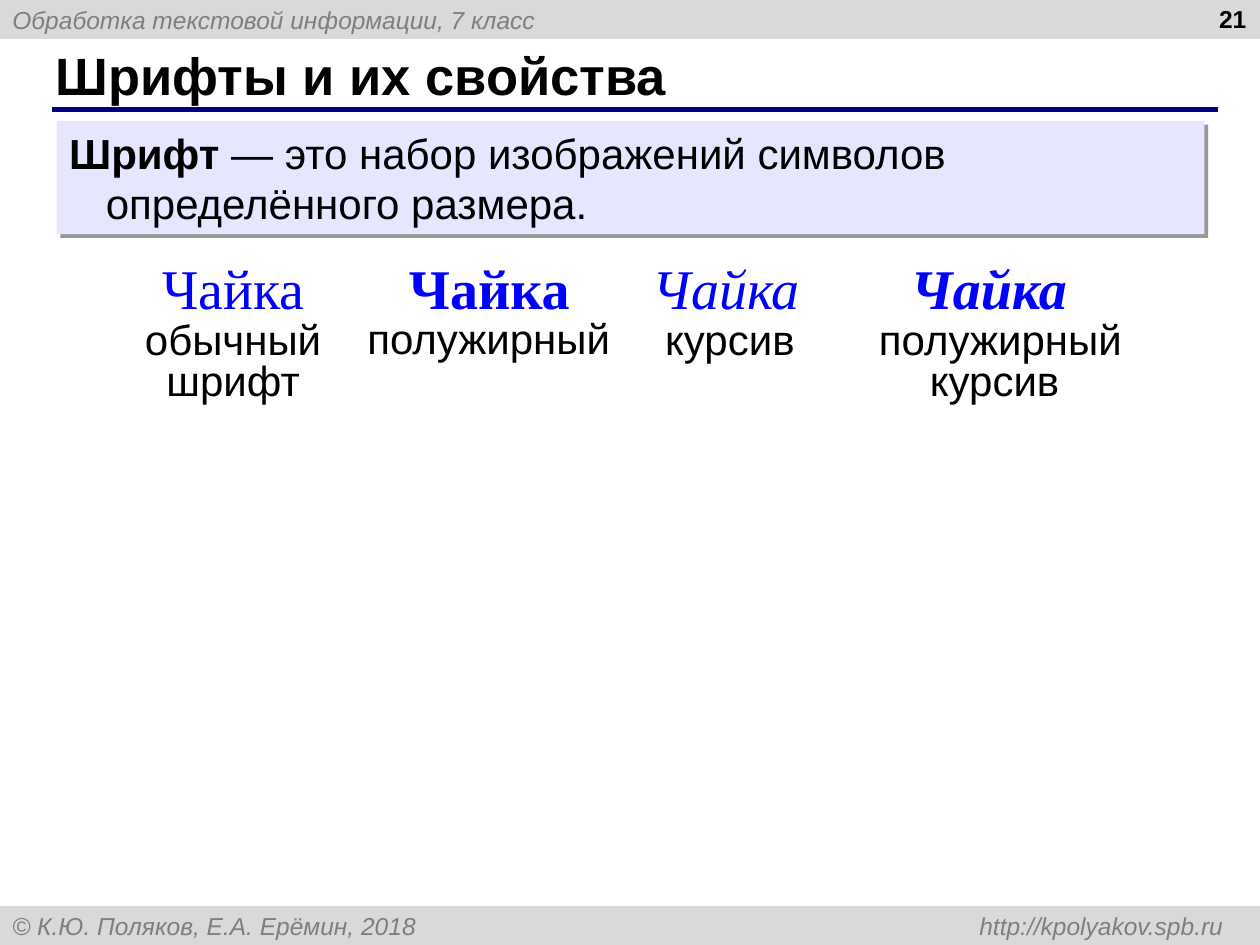
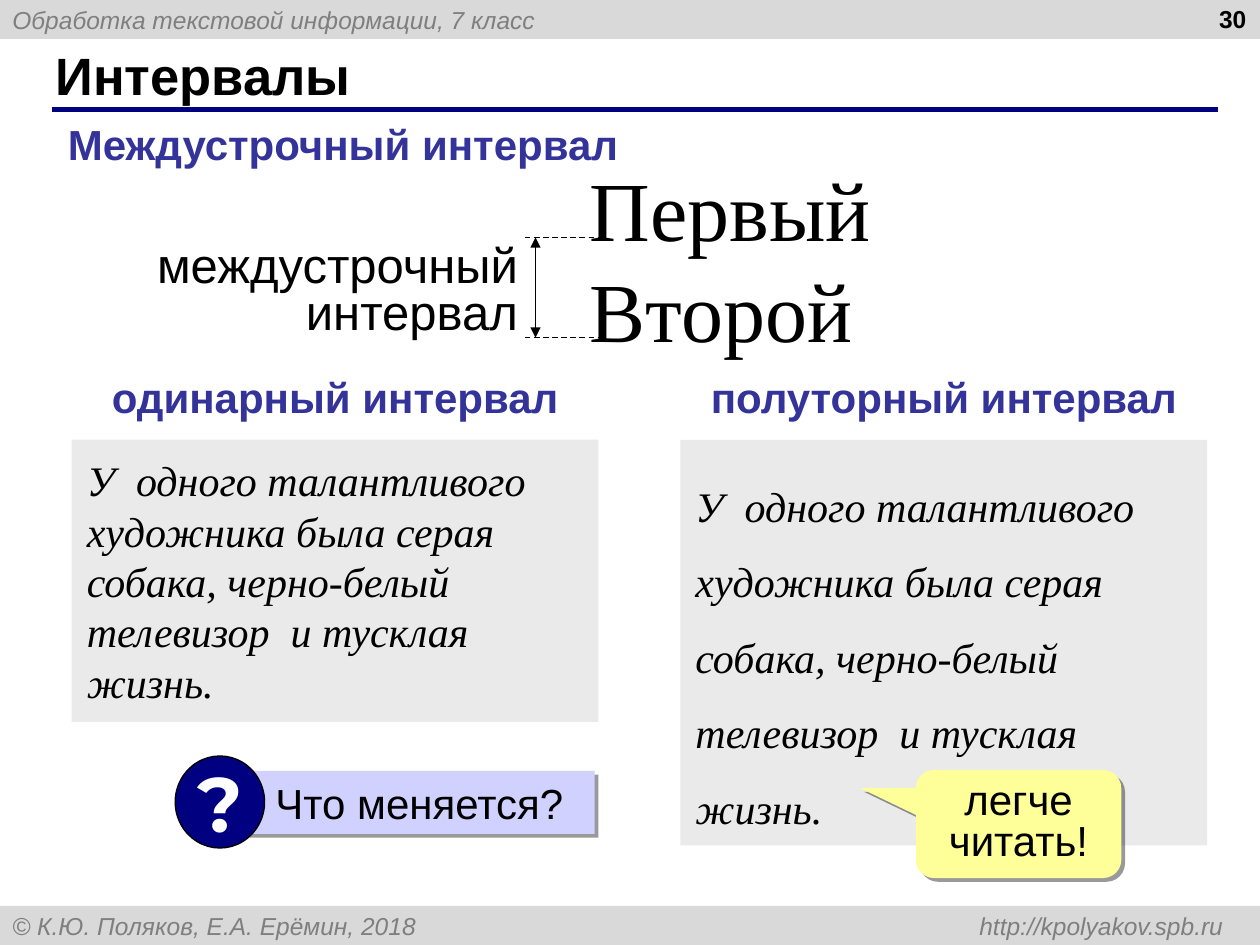
from lxml import etree
from pptx import Presentation
from pptx.dml.color import RGBColor
from pptx.enum import dml, shapes, text
from pptx.oxml import ns
from pptx.util import Pt

BLACK = RGBColor(0x00, 0x00, 0x00)
WHITE = RGBColor(0xFF, 0xFF, 0xFF)
NAVY = RGBColor(0x00, 0x00, 0x80)
BLUE = RGBColor(0x00, 0x00, 0xFF)
HEADING = RGBColor(0x33, 0x33, 0x99)
BAND = RGBColor(0xD9, 0xD9, 0xD9)
BAND_TEXT = RGBColor(0x7F, 0x7F, 0x7F)
LAVENDER = RGBColor(0xE6, 0xE6, 0xFF)
LILAC = RGBColor(0xD1, 0xD1, 0xFF)
PAPER = RGBColor(0xEA, 0xEA, 0xEA)
YELLOW = RGBColor(0xFF, 0xFF, 0x99)
SERIF = "Times New Roman"

RECT = shapes.MSO_SHAPE.RECTANGLE
MIDDLE = text.MSO_ANCHOR.MIDDLE
CENTER, RIGHT = text.PP_ALIGN.CENTER, text.PP_ALIGN.RIGHT
STANDARD = (7.2, 3.6, 7.2, 3.6)
NONE = (0, 0, 0, 0)


def put(slide, box, words, size, color=BLACK, font="Arial", bold=False, italic=False,
        kind=RECT, fill=None, shadow=False, align=None, anchor=text.MSO_ANCHOR.TOP,
        insets=STANDARD, spacing=None):
    """Add a filled shape, or a plain text box when there is no fill, with styled text."""
    place = [Pt(v) for v in box]
    if fill is None:
        item = slide.shapes.add_textbox(*place)
    else:
        item = slide.shapes.add_shape(kind, *place)
        item.fill.solid()
        item.fill.fore_color.rgb = fill
        item.line.fill.background()
        item.shadow.inherit = False
    if shadow:
        effects = item._element.spPr.find(ns.qn("a:effectLst"))
        outer = etree.SubElement(effects, ns.qn("a:outerShdw"), blurRad="0",
                                 dist=str(Pt(3)), dir="2700000", algn="tl", rotWithShape="0")
        tint = etree.SubElement(outer, ns.qn("a:srgbClr"), val=str(BLACK))
        etree.SubElement(tint, ns.qn("a:alpha"), val="40000")
    frame = item.text_frame
    frame.word_wrap = True
    frame.vertical_anchor = anchor
    frame.margin_left, frame.margin_top, frame.margin_right, frame.margin_bottom = [
        Pt(v) for v in insets]
    frame.text = words
    for paragraph in frame.paragraphs:
        paragraph.alignment = align or text.PP_ALIGN.LEFT
        paragraph.line_spacing = spacing
        for run in paragraph.runs:
            run.font.name, run.font.size = font, Pt(size)
            run.font.bold, run.font.italic = bold, italic
            run.font.color.rgb = color
    return item


def rule(slide, x1, y1, x2, y2, color, width):
    line = slide.shapes.add_connector(shapes.MSO_CONNECTOR.STRAIGHT,
                                      Pt(x1), Pt(y1), Pt(x2), Pt(y2))
    line.line.color.rgb = color
    line.line.width = Pt(width)
    etree.SubElement(line._element.spPr, ns.qn("a:effectLst"))
    return line


prs = Presentation()
prs.slide_width, prs.slide_height = Pt(720), Pt(540)

# Bands, title and page number shared by both slides
slides = []
for heading, number in (("Шрифты и их свойства", "21"), ("Интервалы", "30")):
    slide = prs.slides.add_slide(prs.slide_layouts[5])
    slides.append(slide)
    for top, words in ((0, "Обработка текстовой информации, 7 класс"),
                       (517.7, "© К.Ю. Поляков, Е.А. Ерёмин, 2018 \thttp://kpolyakov.spb.ru")):
        band = put(slide, (0, top, 720, 22.3), words, 14, BAND_TEXT, italic=True,
                   fill=BAND, anchor=MIDDLE)
    tabs = etree.SubElement(band.text_frame.paragraphs[0]._p.get_or_add_pPr(),
                            ns.qn("a:tabLst"))
    etree.SubElement(tabs, ns.qn("a:tab"), pos=str(Pt(692)), algn="r")
    rule(slide, 29.5, 62.6, 696.2, 62.6, NAVY, 3)

    title = slide.shapes.title
    title.left, title.top, title.width, title.height = Pt(24.5), Pt(23.8), Pt(659.5), Pt(37.4)
    title.text_frame.text = heading
    title.text_frame.auto_size = text.MSO_AUTO_SIZE.NONE
    title.text_frame.vertical_anchor = MIDDLE
    title_line = title.text_frame.paragraphs[0]
    title_line.alignment = text.PP_ALIGN.LEFT
    title_font = title_line.runs[0].font
    title_font.name, title_font.size, title_font.bold = "Arial", Pt(30), True
    title_font.color.rgb = BLACK
    put(slide, (551.5, -1.4, 167.8, 37.4), number, 14, bold=True, align=RIGHT)

fonts, intervals = slides

# Fonts: definition and four styles
definition = put(fonts, (32.4, 69.1, 655.9, 64.8), "Шрифт ", 24, bold=True,
                 fill=LAVENDER, shadow=True)
sentence = definition.text_frame.paragraphs[0]
indent = sentence._p.get_or_add_pPr()
indent.set("marL", str(Pt(21)))
indent.set("indent", str(Pt(-21)))
meaning = sentence.add_run()
meaning.text = "— это набор изображений символов определённого размера."
meaning.font.name, meaning.font.size, meaning.font.bold = "Arial", Pt(24), False
meaning.font.color.rgb = BLACK

styles = (
    ("обычный шрифт", False, False, (83.5, 100), (67.7, 185, 131, 47.5)),
    ("полужирный ", True, False, (219.6, 120.2), (198, 184.3, 169.2, 23)),
    ("курсив ", False, True, (355, 120.2), (360.7, 185, 119.5, 31.7)),
    ("полужирный курсив ", True, True, (505.4, 119.5), (488.9, 185, 165.6, 47.5)),
)
for label, bold, italic, (left, width), label_box in styles:
    put(fonts, label_box, label, 24, fill=WHITE, align=CENTER, insets=NONE, spacing=0.8)
    put(fonts, (left, 141.1, width, 41.8), "Чайка", 32, BLUE, SERIF, bold, italic,
        fill=WHITE, align=CENTER)

# Intervals: what line spacing measures
subtitle = put(intervals, (31.7, 64.1, 330.5, 36), "Междустрочный интервал", 24, HEADING,
               bold=True)
subtitle.text_frame.word_wrap = False
put(intervals, (337, 90, 187.9, 110.9), "Первый\nВторой", 48, font=SERIF,
    align=text.PP_ALIGN.JUSTIFY, insets=NONE)
for baseline in (135.6, 193):
    guide = rule(intervals, 300.2, baseline, 345.6, baseline, BLACK, 0.75)
    guide.line.dash_style = dml.MSO_LINE.DASH
gap = rule(intervals, 306, 135.6, 306, 193, BLACK, 0.25)
gap_line = gap._element.spPr.find(ns.qn("a:ln"))
for end in ("a:headEnd", "a:tailEnd"):
    etree.SubElement(gap_line, ns.qn(end), type="triangle")
put(intervals, (69.8, 140.4, 226.1, 59.8), "междустрочный интервал", 28, align=RIGHT,
    insets=NONE, spacing=0.8)

# Intervals: the same passage with two spacings
PASSAGE = ("У  одного талантливого  художника была серая собака, "
           "черно-белый телевизор  и тусклая  жизнь.")
for left, height, spacing, caption in ((41, 161.3, 1.0, "одинарный интервал"),
                                       (388.8, 231.8, 1.5, "полуторный интервал")):
    put(intervals, (left, 251.3, 301, height), PASSAGE, 24, font=SERIF, italic=True,
        fill=PAPER, insets=(8.6,) * 4, spacing=spacing)
    put(intervals, (left, 212.4, 301, 23), caption, 24, HEADING, bold=True,
        align=CENTER, insets=NONE)

# Intervals: question and remark
put(intervals, (136.8, 440.6, 203, 36), "Что меняется?", 24, fill=LILAC, shadow=True,
    insets=(20.6, 3.6, 7.2, 3.6))
question = put(intervals, (100.1, 432, 51.1, 52.6), "?", 44, WHITE, "Montserrat", bold=True,
               kind=shapes.MSO_SHAPE.OVAL, fill=NAVY, align=CENTER, anchor=MIDDLE)
question.text_frame.word_wrap = False
question.line.color.rgb = BLACK
question.line.width = Pt(0.75)
remark = put(intervals, (523.4, 439.9, 117.4, 61.9), "легче читать!", 24,
             kind=shapes.MSO_SHAPE.ROUNDED_RECTANGULAR_CALLOUT, fill=YELLOW, shadow=True,
             align=CENTER, anchor=MIDDLE, spacing=0.8)
for i, value in enumerate((-0.77, -0.33, 0.17)):
    remark.adjustments[i] = value

prs.save("out.pptx")
